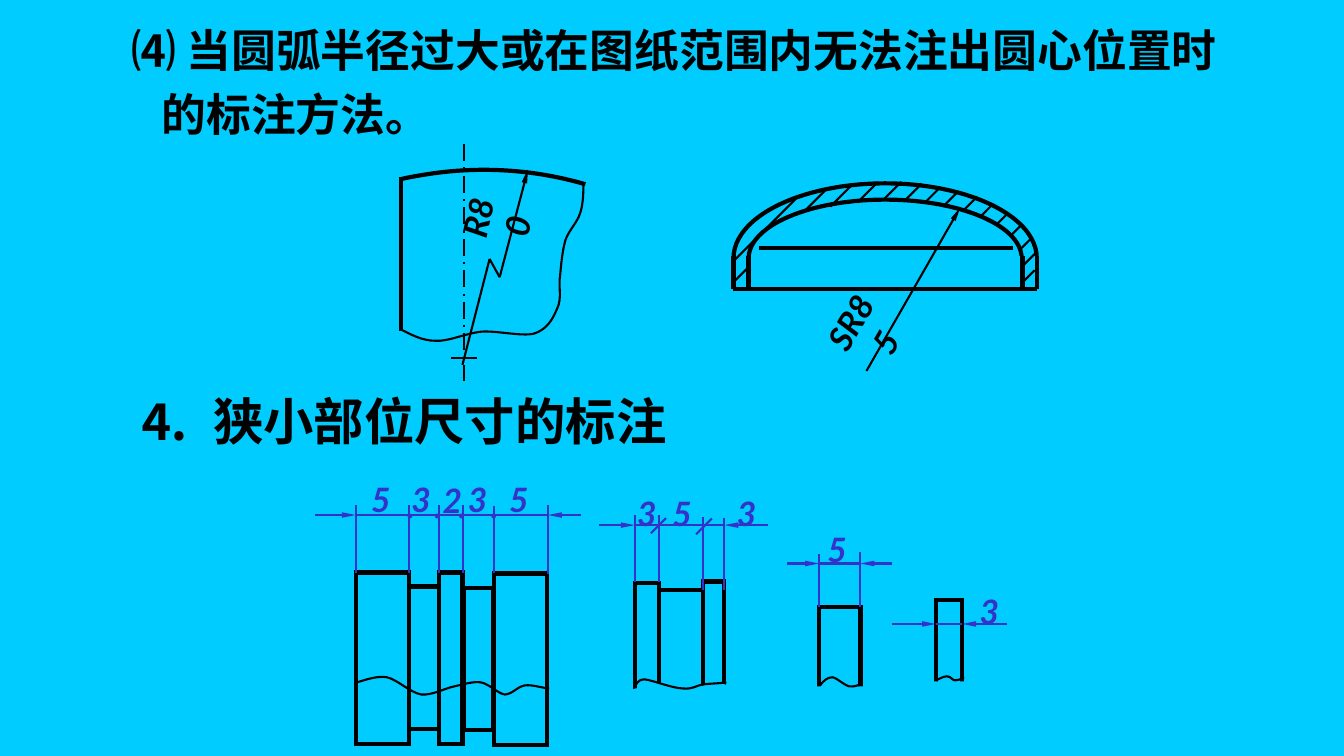
from copy import deepcopy
from typing import NamedTuple

from lxml.etree import SubElement
from pptx import Presentation
from pptx.dml.color import RGBColor
from pptx.enum.dml import MSO_LINE_DASH_STYLE as Dash
from pptx.enum.shapes import MSO_CONNECTOR as Connector, MSO_SHAPE as Preset
from pptx.enum.text import MSO_ANCHOR as Anchor, MSO_AUTO_SIZE as AutoSize, PP_ALIGN as Align
from pptx.oxml.ns import qn
from pptx.util import Pt

COLORS = {"ground": "00CCFF", "outline": "000000", "dimension": "3333CC"}
LATIN, CHINESE = "Lato", "Noto Sans CJK SC"
THICK, THIN = 3, 1.5


class Line(NamedTuple):
    x1: float
    y1: float
    x2: float
    y2: float
    width: float = THIN
    color: str = "outline"
    arrow: bool = False
    dash: bool = False


class Block(NamedTuple):
    left: float
    top: float
    width: float
    height: float
    preset: Preset = Preset.RECTANGLE
    mask: bool = False


class Label(NamedTuple):
    text: str
    x: float
    y: float
    width: float = 27.4
    height: float = 36
    size: float = 24
    color: str = "dimension"
    italic: bool = True
    rotation: float = 0


class Dimension(NamedTuple):
    start: float
    left: float
    right: float
    end: float
    y: float


class Hatch(NamedTuple):
    x: float
    y: float
    run: float


STEPPED_PARTS = [
    Block(292.3, 419, 21.6, 101.5), Block(313.9, 409, 16.6, 122.4), Block(254.2, 409, 38.2, 122.4),
    Block(352.8, 409.7, 38.2, 122.4), Block(331.2, 419.8, 21.6, 101.5),
    Block(453.6, 416.2, 17.3, 108.7), Block(470.9, 421.2, 31.7, 98.6), Block(502.6, 415.4, 15.1, 110.9),
    Block(585.4, 433.4, 29.5, 74.2), Block(668.9, 428.4, 18.7, 77.8),
    Block(581, 490.3, 40.3, 23.8, mask=True), Block(664.6, 486.7, 28.1, 24.5, mask=True)]
PART_MASK = [(442.8, 494.6), (472.3, 487.4), (489.6, 491.8), (515.5, 487.4),
             (528.5, 494.6), (528.5, 532.1), (439.2, 527.8)]
BREAKS = [
    [(254.9, 487.4), (258.5, 486.7), (268.6, 482.4), (276.5, 483.8), (283.7, 485.3), (293, 494.6),
     (301, 496.1), (308.9, 496.8), (317.5, 491.8), (324.7, 490.3), (331.2, 488.9), (337.7, 486.7),
     (343.4, 487.4), (349.2, 488.2), (355.7, 495.4), (360.7, 496.1), (365.8, 496.1), (370.1, 490.3),
     (375.1, 489.6), (380.9, 488.9), (388.8, 491.8), (392.4, 491.8)],
    [(453.6, 490.3), (455, 489.6), (455, 485.3), (460.8, 485.3), (466.6, 486), (481, 491.8),
     (488.2, 491.8), (495.4, 492.5), (497.5, 489.6), (502.6, 488.9), (507.6, 488.2), (515.5, 488.2),
     (519.1, 487.4)],
    [(586.1, 489.6), (588.2, 486.7), (591.1, 483.8), (594.7, 483.8), (597.6, 483.8), (603.4, 489.6),
     (607, 490.3), (610.6, 491), (614.2, 488.9), (615.6, 488.9)],
    [(668.9, 486), (671.8, 484.6), (674.6, 483.1), (676.8, 483.1), (679.7, 483.1), (680.4, 486),
     (682.6, 486), (684.7, 486), (686.9, 485.3), (689, 483.8)],
    [(286.6, 235.4), (293.8, 239), (301.7, 243.4), (311, 243.4), (320.4, 244.1), (331.9, 238.3),
     (344.2, 236.9), (355.7, 236.2), (373, 240.5), (381.6, 238.3), (391, 235.4), (395.3, 227.5),
     (398.2, 220.3), (401.8, 213.1), (398.9, 204.5), (400.3, 196.6), (401, 188.6), (401.8, 180),
     (403.9, 172.1), (406.1, 164.9), (412.6, 159.1), (414.7, 151.9), (416.9, 145.4), (416.9, 136.1),
     (416.9, 131.8)]]
SECTOR_ARC = [(304.7, 116.5), (311.4, 116), (318.1, 115.9), (324.6, 115.9), (362.5, 115.9),
              (400.5, 124.2), (435.1, 140.5)]
SECTOR_APEX, SECTOR_ROTATION = (324.6, 371.8), 351.1
EXTENSIONS = [
    (254.2, 409, 360.7), (292.3, 409, 360.7), (313.9, 409, 360.7), (331.2, 409, 360.7),
    (352.8, 409, 361.4), (391.7, 409.7, 360.7), (453.6, 415.4, 367.9), (470.9, 415.4, 367.9),
    (502.6, 421.2, 369.4), (517.7, 421.2, 370.1), (585.4, 433.4, 396), (614.9, 433.4, 394.6)]
DIMENSIONS = [
    Dimension(225.4, 254.2, 391.7, 415.4, 367.9), Dimension(428.4, 453.6, 517.7, 548.6, 375.1),
    Dimension(562.3, 585.4, 614.9, 637.2, 402.5), Dimension(637.2, 668.9, 687.6, 720, 445.7)]
TICKS = [Hatch(465.1, 380.9, 10.8), Hatch(497.5, 381.6, 11.2)]
SHAFT_DIGITS = [Label("3", 341.3, 356.4), Label("5", 272.2, 356.4), Label("5", 370.8, 356.4),
                Label("3", 301, 356.4), Label("2", 323.3, 357.1)]
DOTS = [Label("●", x, 368.6, 20.2, 15.8, 7, italic=False) for x in (312.5, 352.8, 329.8, 293)]
OTHER_DIGITS = [Label("3", 462.2, 366.5), Label("3", 533.5, 366.5), Label("5", 487.4, 366.5),
                Label("5", 598.3, 392.4), Label("3", 707, 436.3)]
RADIUS_LABELS = [Label("R80", 355.3, 158.4, 55.4, 66, color="outline", rotation=282.1),
                 Label("SR85", 619.9, 237.6, 67.7, 66, color="outline", rotation=300.2)]
ARC_LINES = [
    Line(330.5, 260.6, 349.9, 185), Line(331.9, 103, 331.9, 272.2, dash=True),
    Line(286.6, 236.2, 286.6, 126.7, THICK), Line(322.6, 255.6, 340.6, 255.6),
    Line(357.1, 198, 377.3, 121, arrow=True), Line(357.1, 198, 349.9, 185)]
CAP_BLOCKS = [Block(535, 142.6, 195.1, 83.5, Preset.OVAL), Block(524.2, 131, 216.7, 106.6, Preset.OVAL),
              Block(524.2, 182.9, 239, 70.6, mask=True)]
CAP_LINES = [Line(x, 182.9, x, 206.6, THICK) for x in (524.2, 535, 730.8, 740.9)] + [
    Line(524.2, 206.6, 740.9, 206.6, THICK), Line(542.2, 177.1, 724.3, 177.1, THICK),
    Line(619.2, 265, 686.2, 148.3, arrow=True)]
CAP_HATCHES = [
    Hatch(524.2, 201.6, 10.8), Hatch(524.2, 186.5, 44.6), Hatch(574.6, 151.2, 16.5), Hatch(593.3, 147.6, 15.8),
    Hatch(612.7, 144.7, 14.7), Hatch(631.4, 142.6, 12.7), Hatch(647.3, 142.6, 11.5), Hatch(661.7, 144, 10.4),
    Hatch(673.9, 147.6, 10.1), Hatch(687.6, 151.2, 10.8), Hatch(700.6, 154.8, 9.3), Hatch(712.1, 160.6, 8),
    Hatch(722.2, 168.5, 7.9), Hatch(730.1, 177.1, 7.2), Hatch(730.8, 190.1, 9), Hatch(731.5, 200.9, 7.9)]


def rgb(name: str) -> RGBColor:
    return RGBColor.from_string(COLORS[name])


def style_shape(shape, width: float = THICK, mask: bool = False) -> None:
    shape.shadow.inherit = False
    if mask:
        shape.fill.solid()
        shape.fill.fore_color.rgb = rgb("ground")
        shape.line.fill.background()
    else:
        shape.fill.background()
        shape.line.color.rgb = rgb("outline")
        shape.line.width = Pt(width)
        SubElement(shape.line._get_or_add_ln(), qn("a:miter"), lim="800000")


def draw_line(page, line: Line) -> None:
    connector = page.shapes.add_connector(
        Connector.STRAIGHT, Pt(line.x1), Pt(line.y1), Pt(line.x2), Pt(line.y2))
    connector.line.color.rgb = rgb(line.color)
    connector.line.width = Pt(line.width)
    if line.dash:
        connector.line.dash_style = Dash.LONG_DASH_DOT
    if line.arrow:
        SubElement(connector.line._get_or_add_ln(), qn("a:tailEnd"), type="triangle", w="sm", len="lg")
    SubElement(connector._element.spPr, qn("a:effectLst"))


def draw_block(page, block: Block) -> None:
    shape = page.shapes.add_shape(block.preset, Pt(block.left), Pt(block.top), Pt(block.width), Pt(block.height))
    style_shape(shape, mask=block.mask)


def draw_outline(page, points: list[tuple[float, float]], width: float = THIN,
                 close: bool = False, mask: bool = False):
    start, *rest = [(Pt(x), Pt(y)) for x, y in points]
    builder = page.shapes.build_freeform(*start)
    builder.add_line_segments(rest, close=close)
    shape = builder.convert_to_shape()
    style_shape(shape, width, mask)
    return shape


def bend(shape) -> None:
    segments = list(shape._element.iter(qn("a:lnTo")))
    for first in range(0, len(segments) - 2, 3):
        head, *others = segments[first:first + 3]
        head.tag = qn("a:cubicBezTo")
        for other in others:
            head.append(other[0])
            other.getparent().remove(other)


def draw_sector(page) -> None:
    sector = draw_outline(page, SECTOR_ARC + [SECTOR_APEX], THICK, close=True)
    bend(sector)
    whole = next(sector._element.iter(qn("a:path")))
    arc = deepcopy(whole)
    for side in arc[-2:]:
        arc.remove(side)
    whole.addprevious(arc)
    whole.set("stroke", "0")
    sector.rotation = SECTOR_ROTATION


def draw_hatch(page, hatch: Hatch, color: str = "outline") -> None:
    draw_line(page, Line(hatch.x, hatch.y, hatch.x + hatch.run, hatch.y - hatch.run, color=color))


def draw_dimension(page, dim: Dimension) -> None:
    for start, end, arrow in ((dim.start, dim.left, True), (dim.left, dim.right, False), (dim.end, dim.right, True)):
        draw_line(page, Line(start, dim.y, end, dim.y, color="dimension", arrow=arrow))


def format_text(box, size: float, color: str, align: Align, font: str = LATIN,
                italic: bool = False, wrap: bool = True) -> None:
    frame = box.text_frame
    frame.word_wrap, frame.auto_size, frame.vertical_anchor = wrap, AutoSize.NONE, Anchor.MIDDLE
    for para in frame.paragraphs:
        para.alignment = align
        for span in para.runs:
            span.font.name, span.font.size = font, Pt(size)
            span.font.bold, span.font.italic = True, italic
            span.font.color.rgb = rgb(color)
            SubElement(span._r.get_or_add_rPr(), qn("a:ea"), typeface=CHINESE)


def draw_label(page, label: Label) -> None:
    box = page.shapes.add_textbox(Pt(label.x - label.width / 2), Pt(label.y - label.height / 2),
                                  Pt(label.width), Pt(label.height))
    box.text_frame.text = label.text
    box.rotation = label.rotation
    format_text(box, label.size, label.color, Align.CENTER, italic=label.italic, wrap=label.rotation != 0)


def draw_headings(page) -> None:
    title = page.shapes.title
    title.left, title.top, title.width, title.height = Pt(86.8), Pt(4.8), Pt(828), Pt(99.4)
    title.text_frame.text = "⑷ 当圆弧半径过大或在图纸范围内无法注出圆心位置时\n的标注方法。"
    for para in title.text_frame.paragraphs:
        para.line_spacing = 1.2
    title.text_frame.paragraphs[1]._p.get_or_add_pPr().set("marL", str(Pt(21.5)))
    format_text(title, 32, "outline", Align.LEFT, CHINESE)
    heading = page.shapes.add_textbox(Pt(92.2), Pt(275), Pt(393.8), Pt(50.4))
    heading.text_frame.text = "⒋\t狭小部位尺寸的标注"
    tabs = SubElement(heading.text_frame.paragraphs[0]._p.get_or_add_pPr(), qn("a:tabLst"))
    SubElement(tabs, qn("a:tab"), pos=str(Pt(53)), algn="l")
    format_text(heading, 36, "outline", Align.LEFT)


def main() -> None:
    """Build the slide on dimensioning large arcs and narrow parts."""
    deck = Presentation()
    deck.slide_width, deck.slide_height = Pt(960.5), Pt(540)
    page = deck.slides.add_slide(deck.slide_layouts[5])
    page.background.fill.solid()
    page.background.fill.fore_color.rgb = rgb("ground")
    draw_headings(page)
    for block in STEPPED_PARTS + CAP_BLOCKS:
        draw_block(page, block)
    draw_outline(page, PART_MASK, close=True, mask=True)
    for points in BREAKS:
        bend(draw_outline(page, points))
    draw_sector(page)
    for x, bottom, top in EXTENSIONS:
        draw_line(page, Line(x, bottom, x, top, color="dimension"))
    for dim in DIMENSIONS:
        draw_dimension(page, dim)
    for tick in TICKS:
        draw_hatch(page, tick, "dimension")
    for line in ARC_LINES + CAP_LINES:
        draw_line(page, line)
    for hatch in CAP_HATCHES:
        draw_hatch(page, hatch)
    for label in SHAFT_DIGITS + DOTS + OTHER_DIGITS + RADIUS_LABELS:
        draw_label(page, label)
    deck.save("out.pptx")


if __name__ == "__main__":
    main()
